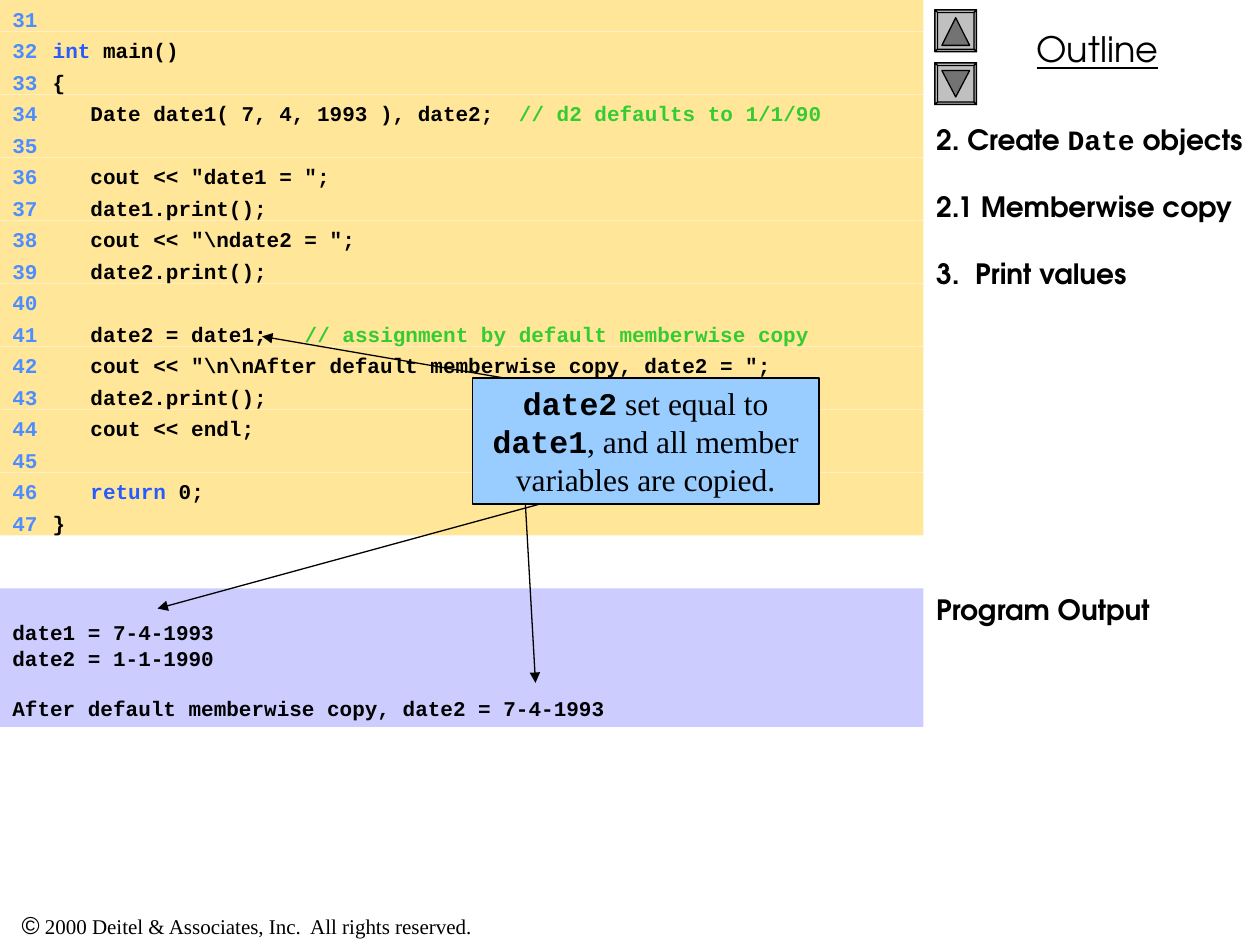
"""Builds the slide on memberwise copy of Date objects."""
import pptx
import pptx.dml.color
import pptx.enum.dml
import pptx.enum.shapes
import pptx.enum.text
import pptx.oxml
import pptx.oxml.ns
import pptx.util

RGBColor = pptx.dml.color.RGBColor
BLACK = RGBColor(0x00, 0x00, 0x00)
NUMBER_BLUE = RGBColor(0x4D, 0x8D, 0xFF)
KEYWORD_BLUE = RGBColor(0x27, 0x5A, 0xFF)
COMMENT_GREEN = RGBColor(0x33, 0xCC, 0x33)
CODE_YELLOW = RGBColor(0xFF, 0xE6, 0x99)
OUTPUT_LILAC = RGBColor(0xCC, 0xCC, 0xFF)
CALLOUT_BLUE = RGBColor(0x99, 0xCC, 0xFF)
BUTTON_GREY = RGBColor(0xC0, 0xC0, 0xC0)
ARROW_GREY = RGBColor(0x73, 0x73, 0x73)
LIGHT_EDGE = RGBColor(0xCD, 0xCD, 0xCD)
DARK_EDGE = RGBColor(0x9A, 0x9A, 0x9A)

CODE_FONT = "Courier New"
HEAD_FONT = "TeX Gyre Adventor"
BODY_FONT = "Times New Roman"
LEFT = pptx.enum.text.PP_ALIGN.LEFT
CENTER = pptx.enum.text.PP_ALIGN.CENTER

CODE_WIDTH = 7.33
ROW_HEIGHT = 0.25
FIRST_NUMBER = 31
OUTLINE_LINE = 19.2
BUTTON_SIZE = 0.33
BEVEL = 0.02

CODE_LINES = [
    [],
    [("int", KEYWORD_BLUE), (" main()", BLACK)],
    [("{", BLACK)],
    [("   Date date1( 7, 4, 1993 ), date2; ", BLACK),
     (" // d2 defaults to 1/1/90", COMMENT_GREEN)],
    [],
    [('   cout << "date1 = ";', BLACK)],
    [("   date1.print();", BLACK)],
    [('   cout << "\\ndate2 = ";', BLACK)],
    [("   date2.print();", BLACK)],
    [],
    [("   date2 = date1;  ", BLACK),
     (" // assignment by default memberwise copy", COMMENT_GREEN)],
    [('   cout << "\\n\\nAfter default memberwise copy, date2 = ";', BLACK)],
    [("   date2.print();", BLACK)],
    [("   cout << endl;", BLACK)],
    [],
    [("   return", KEYWORD_BLUE), (" 0;", BLACK)],
    [("}", BLACK)],
]
OUTPUT_LINES = [
    ("date1 = 7-4-1993", 14.4),
    ("date2 = 1-1-1990", 0),
    ("After default memberwise copy, date2 = 7-4-1993", 14.4),
]
OUTLINE = [
    ([("2. Create ", HEAD_FONT), ("Date", CODE_FONT), (" objects", HEAD_FONT)], 0),
    ([("2.1 Memberwise copy", HEAD_FONT)], 1),
    ([("3.  Print values", HEAD_FONT)], 1),
    ([("Program Output", HEAD_FONT)], 9),
]
ARROWS = [
    ((4, 3), (2.08, 2.67)),
    ((4.17, 4), (4.25, 5.42)),
    ((4.58, 3.92), (1.25, 4.83)),
]


def inches(*lengths):
    """Convert lengths in inches."""
    return [pptx.util.Inches(length) for length in lengths]


def add_span(para, text, font, size, color=BLACK, bold=False):
    """Add one formatted run and return it."""
    span = para.add_run()
    span.text = text
    span.font.name = font
    span.font.size = pptx.util.Pt(size)
    span.font.bold = bold
    span.font.color.rgb = color
    return span


def set_frame(shape, align=LEFT):
    """Wrap and top-anchor the text, returning the first paragraph."""
    frame = shape.text_frame
    frame.word_wrap = True
    frame.vertical_anchor = pptx.enum.text.MSO_ANCHOR.TOP
    frame.paragraphs[0].alignment = align
    return frame.paragraphs[0]


def next_para(frame, index):
    """Return the first paragraph, or a new one after it."""
    para = frame.paragraphs[0] if index == 0 else frame.add_paragraph()
    para.alignment = LEFT
    return para


def add_panel(page, left, top, width, height, fill, line=None):
    """Add a flat rectangle."""
    panel = page.shapes.add_shape(
        pptx.enum.shapes.MSO_SHAPE.RECTANGLE, *inches(left, top, width, height))
    style_outline(panel, fill, line)
    return panel


def style_outline(shape, fill, line=None):
    """Set a solid fill and an optional thin line without shadow."""
    shape.shadow.inherit = False
    shape.fill.solid()
    shape.fill.fore_color.rgb = fill
    if line is None:
        shape.line.fill.background()
    else:
        shape.line.color.rgb = line
        shape.line.width = pptx.util.Pt(0.75)


def add_label(page, left, top, width, height):
    """Add a centred text box and return its paragraph."""
    box = page.shapes.add_textbox(*inches(left, top, width, height))
    return set_frame(box, CENTER)


def add_code_row(page, row, spans):
    """Add one numbered line of code on its own band."""
    band = add_panel(page, 0, row * ROW_HEIGHT, CODE_WIDTH, ROW_HEIGHT, CODE_YELLOW)
    para = set_frame(band)
    tabs = pptx.oxml.parse_xml(
        f'<a:tabLst {pptx.oxml.ns.nsdecls("a")}/>')
    for position, kind in ((0, "l"), (0.15, "r"), (0.32, "l")):
        tab = tabs.makeelement(pptx.oxml.ns.qn("a:tab"), {
            "pos": str(pptx.util.Inches(position)), "algn": kind})
        tabs.append(tab)
    para._p.get_or_add_pPr().append(tabs)
    add_span(para, f"\t{FIRST_NUMBER + row}\t", CODE_FONT, 12, NUMBER_BLUE, True)
    for text, color in spans:
        add_span(para, text, CODE_FONT, 12, color, True)


def add_output(page):
    """Add the program output panel."""
    panel = add_panel(page, 0, 4.67, CODE_WIDTH, 1.1, OUTPUT_LILAC)
    set_frame(panel)
    panel.text_frame.margin_top = pptx.util.Inches(0.25)
    for index, (text, gap) in enumerate(OUTPUT_LINES):
        para = next_para(panel.text_frame, index)
        para.line_spacing = pptx.util.Pt(14.4)
        para.space_before = pptx.util.Pt(gap if index else 0)
        add_span(para, text, CODE_FONT, 12, BLACK, True)


def add_outline(page):
    """Fill the title placeholder with the outline of the program."""
    title = page.shapes.title
    title.left, title.top, title.width, title.height = inches(7.33, 0.92, 2.67, 6.58)
    set_frame(title)
    for index, (spans, blank_lines) in enumerate(OUTLINE):
        para = next_para(title.text_frame, index)
        para.space_before = pptx.util.Pt(blank_lines * OUTLINE_LINE)
        for text, font in spans:
            add_span(para, text, font, 16, BLACK, True)


def add_polygon(page, points, fill):
    """Add a closed outline through points given in inches."""
    corners = [inches(*point) for point in points]
    builder = page.shapes.build_freeform(*corners[0])
    builder.add_line_segments(corners[1:], close=True)
    style_outline(builder.convert_to_shape(), fill, BLACK)


def add_button(page, left, top, upward):
    """Add a bevelled button with an arrow pointing up or down."""
    right, bottom = left + BUTTON_SIZE, top + BUTTON_SIZE
    outer = [(left, top), (right, top), (right, bottom), (left, bottom)]
    inner = [(left + BEVEL, top + BEVEL), (right - BEVEL, top + BEVEL),
             (right - BEVEL, bottom - BEVEL), (left + BEVEL, bottom - BEVEL)]
    add_polygon(page, outer, BUTTON_GREY)
    for side, fill in enumerate((LIGHT_EDGE, DARK_EDGE, DARK_EDGE, LIGHT_EDGE)):
        after = (side + 1) % 4
        add_polygon(page, [outer[side], outer[after], inner[after], inner[side]], fill)
    middle = left + BUTTON_SIZE / 2
    tip, base = (top + 0.06, top + 0.28) if upward else (top + 0.27, top + 0.06)
    add_polygon(page, [(middle, tip), (middle + 0.11, base), (middle - 0.11, base)],
                ARROW_GREY)


def add_arrow(page, start, end):
    """Add a thin arrow."""
    arrow = page.shapes.add_connector(
        pptx.enum.shapes.MSO_CONNECTOR.STRAIGHT, *inches(*start, *end))
    arrow.line.color.rgb = BLACK
    arrow.line.width = pptx.util.Pt(0.75)
    namespace = pptx.oxml.ns.nsdecls("a")
    arrow.line._get_or_add_ln().append(
        pptx.oxml.parse_xml(f'<a:tailEnd {namespace} type="triangle"/>'))
    arrow._element.spPr.append(pptx.oxml.parse_xml(f"<a:effectLst {namespace}/>"))


def add_callout(page):
    """Add the explanation of the assignment."""
    para = set_frame(add_panel(page, 3.75, 3, 2.75, 1, CALLOUT_BLUE, BLACK), CENTER)
    for text, font in (("date2", CODE_FONT), (" set equal to ", BODY_FONT),
                       ("date1", CODE_FONT),
                       (", and all member variables are copied.", BODY_FONT)):
        add_span(para, text, font, 18, BLACK, font == CODE_FONT)


def main():
    """Build and save the deck."""
    deck = pptx.Presentation()
    deck.slide_width, deck.slide_height = inches(10, 7.5)
    page = deck.slides.add_slide(deck.slide_layouts[5])
    footer = add_label(page, 0, 7.17, 3.92, 0.34)
    add_span(footer, "©", "Arial", 14)
    add_span(footer, " 2000 Deitel & Associates, Inc.  All rights reserved.", BODY_FONT, 12)
    heading = add_label(page, 7.42, 0.17, 2.58, 0.44)
    add_span(heading, "Outline", HEAD_FONT, 20).font.underline = True
    add_button(page, 7.42, 0.08, True)
    add_button(page, 7.42, 0.5, False)
    add_outline(page)
    for row, spans in enumerate(CODE_LINES):
        add_code_row(page, row, spans)
    add_output(page)
    for start, end in ARROWS:
        add_arrow(page, start, end)
    add_callout(page)


    deck.save("out.pptx")


if __name__ == "__main__":
    main()
